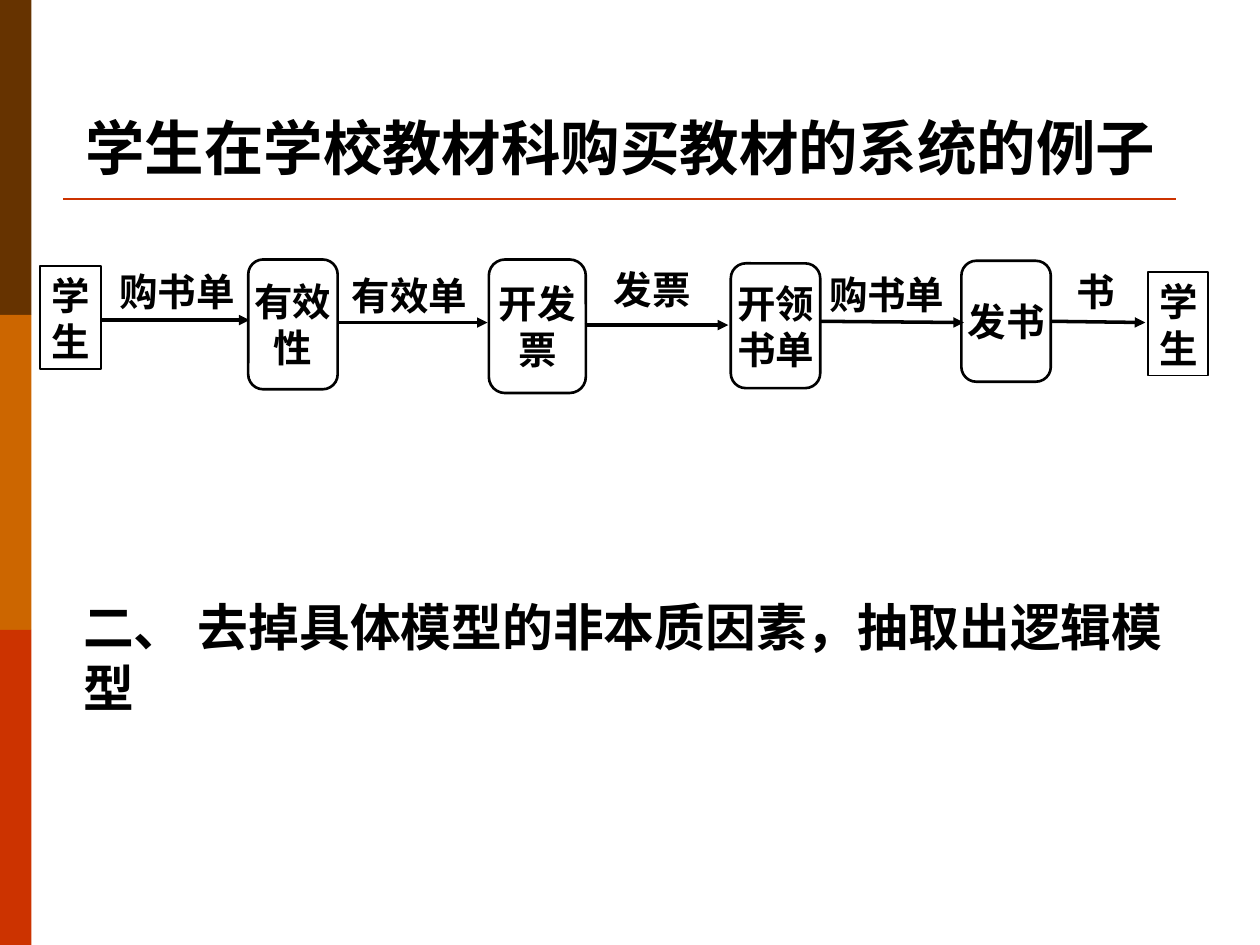
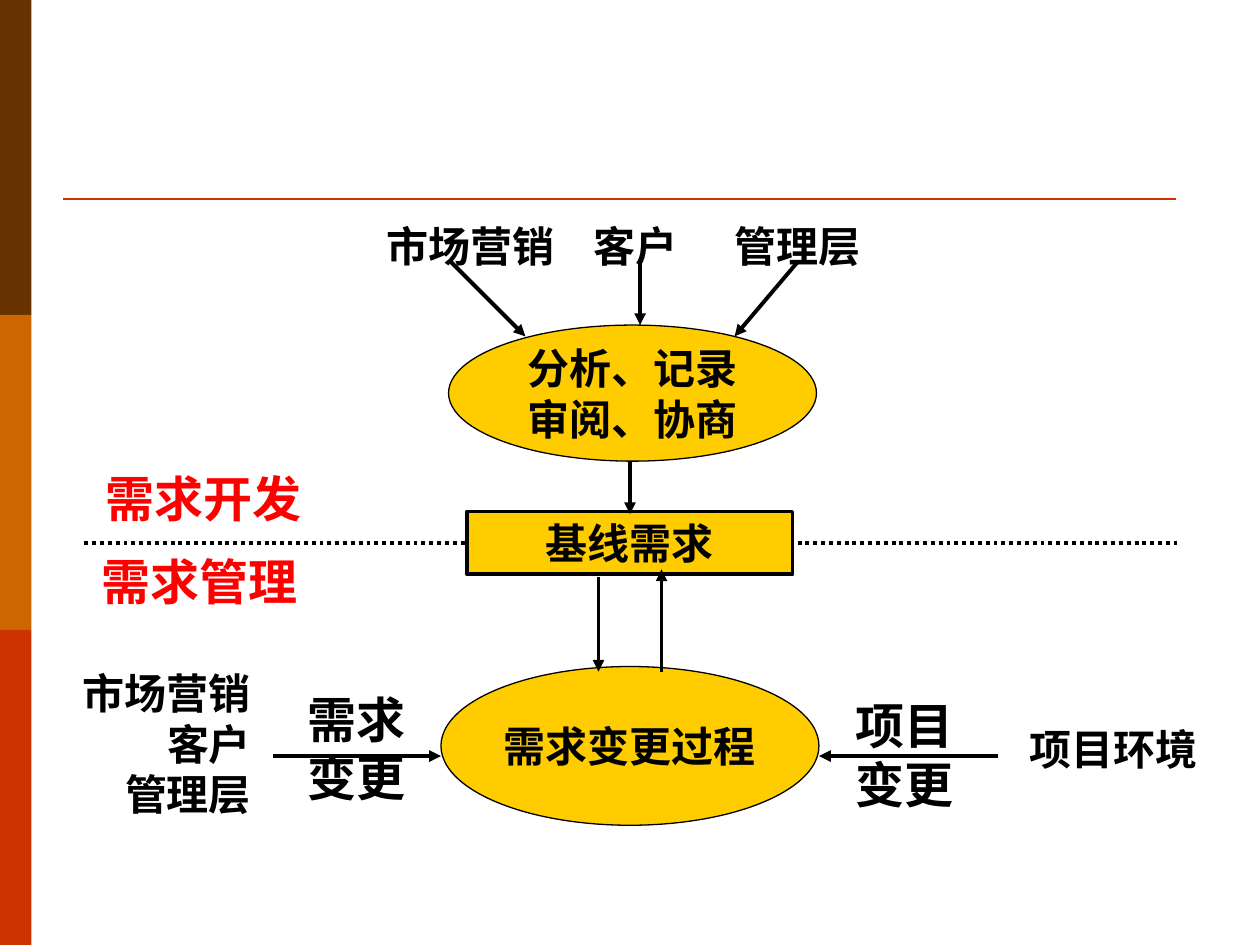
from dataclasses import dataclass

from lxml import etree
from pptx import Presentation
from pptx.dml.color import RGBColor
from pptx.enum.dml import MSO_LINE
from pptx.enum.shapes import MSO_CONNECTOR, MSO_SHAPE
from pptx.enum.text import MSO_ANCHOR, PP_ALIGN
from pptx.oxml.ns import qn
from pptx.util import Inches, Pt

STRAIGHT = MSO_CONNECTOR.STRAIGHT
RECT, OVAL, ROUNDED = MSO_SHAPE.RECTANGLE, MSO_SHAPE.OVAL, MSO_SHAPE.ROUNDED_RECTANGLE
LEFT, CENTER, RIGHT = PP_ALIGN.LEFT, PP_ALIGN.CENTER, PP_ALIGN.RIGHT
TOP, MIDDLE, BOTTOM = MSO_ANCHOR.TOP, MSO_ANCHOR.MIDDLE, MSO_ANCHOR.BOTTOM
DOTTED = MSO_LINE.ROUND_DOT


@dataclass(frozen=True)
class Theme:
    black: str = "000000"
    red: str = "FF0000"
    gold: str = "FFCC00"
    rule: str = "CC3300"
    bands: tuple = ("663300", "CC6600", "CC3300")
    serif: str = "Times New Roman"
    sans: str = "Noto Sans CJK SC"
    title: int = 34
    heading: int = 29
    large: int = 28
    body: int = 24
    small: int = 22


THEME = Theme()


@dataclass(frozen=True)
class TextStyle:
    size: int
    font: str = THEME.sans
    color: str = THEME.black
    align: PP_ALIGN = LEFT
    anchor: MSO_ANCHOR = TOP
    insets: tuple = (0.1, 0.05, 0.1, 0.05)
    wrap: bool = False
    tabs: tuple = ()


@dataclass(frozen=True)
class Box:
    text: str
    left: float
    top: float
    width: float
    height: float
    style: TextStyle
    shape: MSO_SHAPE | None = None
    fill: str | None = None
    line: float = 0


@dataclass(frozen=True)
class Line:
    x1: float
    y1: float
    x2: float
    y2: float
    width: float = 2.25
    color: str = THEME.black
    arrow: bool = True
    dash: MSO_LINE | None = None


# Text styles
TITLE = TextStyle(THEME.title, THEME.serif, anchor=BOTTOM, wrap=True)
HEADING = TextStyle(THEME.heading, insets=(0.09, 0.05, 0.09, 0.05), wrap=True, tabs=(0.91,))
FLOW_LABEL = TextStyle(THEME.small, THEME.serif, insets=(0, 0.04, 0, 0), wrap=True)
FLOW_LABEL_CENTERED = TextStyle(THEME.small, THEME.serif, align=CENTER,
                                insets=(0, 0.04, 0, 0), wrap=True)
ACTOR = TextStyle(THEME.small, THEME.serif, insets=(0.09, 0.05, 0.09, 0.05), wrap=True)
STEP = TextStyle(THEME.small, THEME.serif, align=CENTER, anchor=MIDDLE,
                 insets=(0, 0, 0, 0), wrap=True)
NODE = TextStyle(THEME.body, align=CENTER, anchor=MIDDLE)
SOURCES = TextStyle(THEME.body, wrap=True, tabs=(1.64, 2.76))
SOURCES_RIGHT = TextStyle(THEME.body, align=RIGHT, wrap=True)
ENVIRONMENT = TextStyle(THEME.body)
CHANGE = TextStyle(THEME.large)
PHASE = TextStyle(THEME.large, color=THEME.red)


def rgb(color: str) -> RGBColor:
    return RGBColor.from_string(color)


def write_text(frame, text: str, style: TextStyle) -> None:
    frame.text = text
    frame.word_wrap = style.wrap
    frame.vertical_anchor = style.anchor
    (frame.margin_left, frame.margin_top,
     frame.margin_right, frame.margin_bottom) = map(Inches, style.insets)
    for para in frame.paragraphs:
        para.alignment = style.align
        if style.tabs:
            stops = etree.SubElement(para._p.get_or_add_pPr(), qn("a:tabLst"))
            for stop in style.tabs:
                etree.SubElement(stops, qn("a:tab"), pos=str(Inches(stop)), algn="l")
        for span in para.runs:
            span.font.size = Pt(style.size)
            span.font.bold = True
            span.font.color.rgb = rgb(style.color)
            span.font.name = style.font
            etree.SubElement(span._r.get_or_add_rPr(), qn("a:ea"), typeface=THEME.sans)


def add_box(page, box: Box) -> None:
    place = [Inches(v) for v in (box.left, box.top, box.width, box.height)]
    if box.shape is None:
        shape = page.shapes.add_textbox(*place)
    else:
        shape = page.shapes.add_shape(box.shape, *place)
        shape.shadow.inherit = False
        if box.fill:
            shape.fill.solid()
            shape.fill.fore_color.rgb = rgb(box.fill)
        else:
            shape.fill.background()
        if box.line:
            shape.line.color.rgb = rgb(THEME.black)
            shape.line.width = Pt(box.line)
        else:
            shape.line.fill.background()
    if box.text:
        write_text(shape.text_frame, box.text, box.style)


def add_line(page, line: Line) -> None:
    ends = [Inches(v) for v in (line.x1, line.y1, line.x2, line.y2)]
    connector = page.shapes.add_connector(STRAIGHT, *ends)
    connector.line.color.rgb = rgb(line.color)
    connector.line.width = Pt(line.width)
    if line.dash:
        connector.line.dash_style = line.dash
    if line.arrow:
        etree.SubElement(connector.line._get_or_add_ln(), qn("a:tailEnd"), type="triangle")
    etree.SubElement(connector._element.spPr, qn("a:effectLst"))


def draw(page, parts: list[Box | Line]) -> None:
    for part in parts:
        if isinstance(part, Line):
            add_line(page, part)
        else:
            add_box(page, part)


def add_page(deck):
    """Add a blank page with the side bands and the title rule."""
    page = deck.slides.add_slide(deck.slide_layouts[6])
    draw(page, [Box("", 0, 2.5 * row, 0.25, 2.5, NODE, RECT, color)
                for row, color in enumerate(THEME.bands)])
    add_line(page, Line(0.5, 1.58, 9.33, 1.58, 1.5, THEME.rule, arrow=False))
    return page


def build_purchase_flow(deck) -> None:
    page = add_page(deck)
    draw(page, [
        Box("学生在学校教材科购买教材的系统的例子", 0.58, 0.53, 9.14, 0.97, TITLE),
        Box("二、\t去掉具体模型的非本质因素，抽取出逻辑模型", 0.57, 4.68, 9.1, 1.06, HEADING),
    ])

    # Documents passed along the flow
    draw(page, [Box(text, left, top, width, 0.41, style) for text, left, top, width, style in (
        ("购书单", 0.88, 2.09, 1.05, FLOW_LABEL_CENTERED),
        ("有效单", 2.74, 2.12, 1.02, FLOW_LABEL_CENTERED),
        ("发票", 4.87, 2.07, 0.68, FLOW_LABEL),
        ("购书单", 6.58, 2.11, 0.97, FLOW_LABEL),
        ("书", 8.54, 2.09, 0.4, FLOW_LABEL),
    )])
    draw(page, [Line(*ends, width=2) for ends in (
        (0.8, 2.54, 1.98, 2.54),
        (2.69, 2.56, 3.87, 2.56),
        (4.64, 2.58, 5.78, 2.58),
        (6.51, 2.55, 7.65, 2.56),
        (8.35, 2.55, 9.09, 2.56),
    )])

    # Actors and processing steps
    draw(page, [Box("学生", left, top, 0.48, 0.82, ACTOR, RECT, line=1)
                for left, top in ((0.32, 2.11), (9.11, 2.16))])
    draw(page, [Box(text, *place, STEP, ROUNDED, line=1.5) for text, *place in (
        ("有效性", 1.97, 2.06, 0.71, 1.03),
        ("开发票", 3.88, 2.06, 0.77, 1.06),
        ("开领书单", 5.8, 2.09, 0.71, 0.99),
        ("发书", 7.63, 2.07, 0.71, 0.96),
    )])


def build_requirements_process(deck) -> None:
    page = add_page(deck)

    # Processes, baseline and the divider between the two phases
    draw(page, [
        Box("需求\n变更", 2.34, 5.42, 1.05, 1.04, CHANGE),
        Box("分析、记录\n审阅、协商", 3.56, 2.58, 2.92, 1.08, NODE, OVAL, THEME.gold, 0.75),
        Box("需求变更过程", 3.5, 5.29, 3, 1.26, NODE, OVAL, THEME.gold, 0.75),
        Line(0.67, 4.31, 9.34, 4.31, arrow=False, dash=DOTTED),
        Box("基线需求", 3.71, 4.06, 2.58, 0.5, NODE, RECT, THEME.gold, 2.25),
    ])

    # Sources, phases and changes
    draw(page, [
        Box("市场营销\t客户\t管理层", 2.97, 1.7, 4.86, 0.5, SOURCES),
        Box("需求开发", 0.74, 3.67, 1.8, 0.57, PHASE),
        Box("需求管理", 0.71, 4.33, 1.8, 0.57, PHASE),
        Box("市场营销\n客户\n管理层", 0.17, 5.25, 1.92, 1.3, SOURCES_RIGHT),
        Box("项目\n变更", 6.69, 5.47, 1.05, 1.04, CHANGE),
        Box("项目环境", 8.07, 5.69, 1.6, 0.5, ENVIRONMENT),
    ])

    # Arrows between sources, processes and baseline
    draw(page, [Line(*ends) for ends in (
        (3.58, 2.08, 4.17, 2.67),
        (6.33, 2.08, 5.83, 2.67),
        (5.08, 2.08, 5.08, 2.58),
        (5, 3.67, 5, 4.08),
        (4.75, 4.58, 4.75, 5.33),
        (5.25, 5.33, 5.25, 4.52),
        (2.17, 6, 3.5, 6),
        (7.92, 6, 6.5, 6),
    )])


def main() -> None:
    deck = Presentation()
    deck.slide_width, deck.slide_height = Inches(10), Inches(7.5)
    build_purchase_flow(deck)
    build_requirements_process(deck)
    deck.save("out.pptx")


if __name__ == "__main__":
    main()
